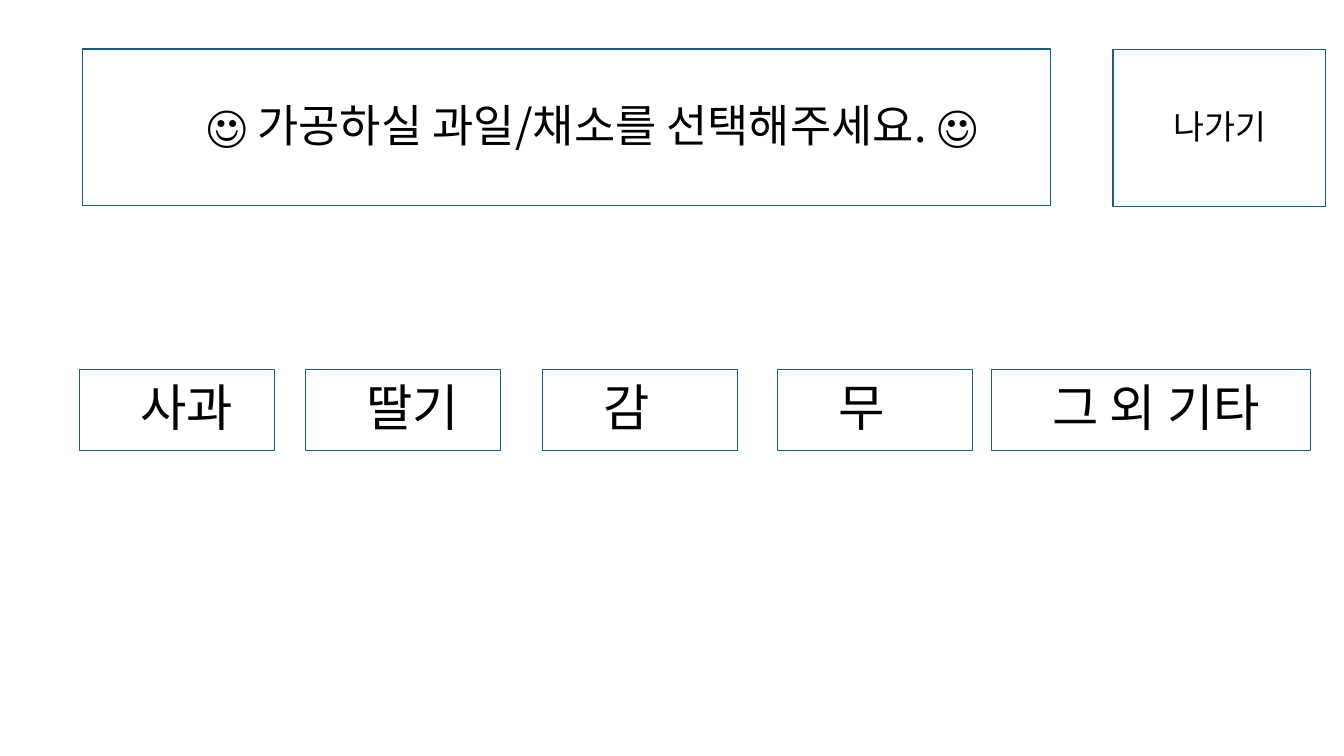
"""Build the fruit and vegetable selection screen."""
from lxml.etree import SubElement
from pptx import Presentation
from pptx.dml.color import RGBColor
from pptx.enum.shapes import MSO_SHAPE
from pptx.enum.text import MSO_ANCHOR, MSO_AUTO_SIZE, PP_ALIGN
from pptx.oxml.ns import qn
from pptx.util import Pt

PX = 914400 / 100.8
FONT = "Noto Sans CJK KR"


def color(fmt, value):
    fmt.rgb = RGBColor.from_string(value)


def style_box(sp, box, text, size, align=PP_ALIGN.LEFT):
    sp.left, sp.top, sp.width, sp.height = [round(v * PX) for v in box]
    sp.fill.background()
    color(sp.line.color, "156082")
    sp.line.width = Pt(0.75)
    tf = sp.text_frame
    tf.word_wrap = True
    tf.auto_size = MSO_AUTO_SIZE.NONE
    tf.vertical_anchor = MSO_ANCHOR.MIDDLE
    p = tf.paragraphs[0]
    p.text = text
    p.level = 1
    p.alignment = align
    p.line_spacing = 0.9
    p.space_before = Pt(5)
    p.font.size = Pt(size)
    p.font.name = FONT
    color(p.font.color, "000000")
    pPr = p._p.get_or_add_pPr()
    pPr.set("marL", "457200")
    pPr.set("indent", "0")
    SubElement(pPr.find(qn("a:defRPr")), qn("a:ea"), typeface=FONT)


prs = Presentation()
prs.slide_width, prs.slide_height = round(1344 * PX), round(756 * PX)
s = prs.slides.add_slide(prs.slide_layouts[5])

style_box(s.shapes.title, (83, 49, 968, 157),
          "☺ 가공하실 과일/채소를 선택해주세요. ☺", 32, PP_ALIGN.CENTER)

buttons = [
    ("사과", 80, 370, 195, 81, 36),
    ("딸기", 306, 370, 195, 81, 36),
    ("감", 543, 370, 195, 81, 36),
    ("무", 778, 370, 195, 81, 36),
    ("그 외 기타", 992, 370, 319, 81, 36),
    ("나가기", 1113, 50, 213, 157, 24),
]
for text, x, y, w, h, size in buttons:
    sp = s.shapes.add_shape(MSO_SHAPE.RECTANGLE, 0, 0, 0, 0)
    sp.shadow.inherit = False
    style_box(sp, (x, y, w, h), text, size)

prs.save("out.pptx")
